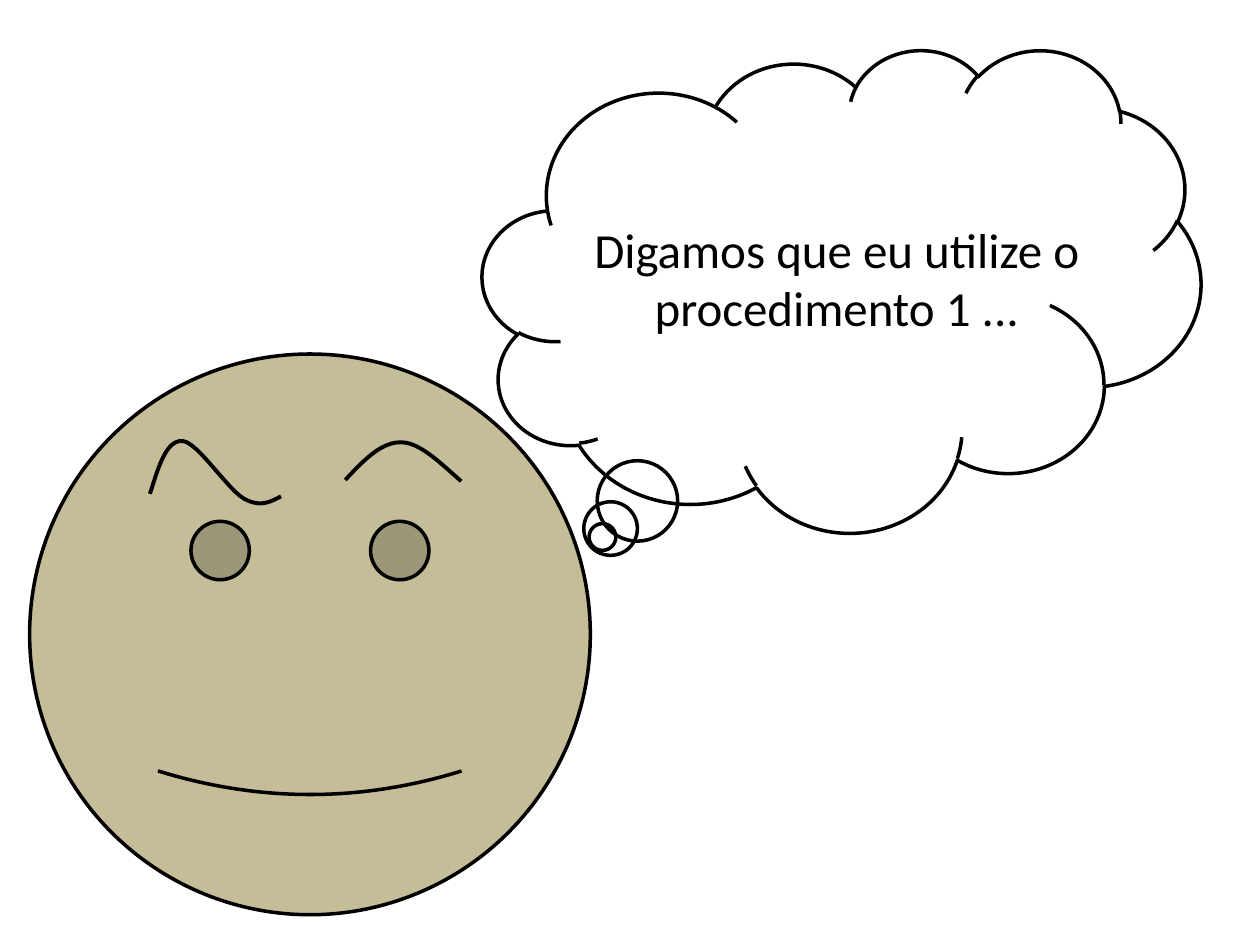
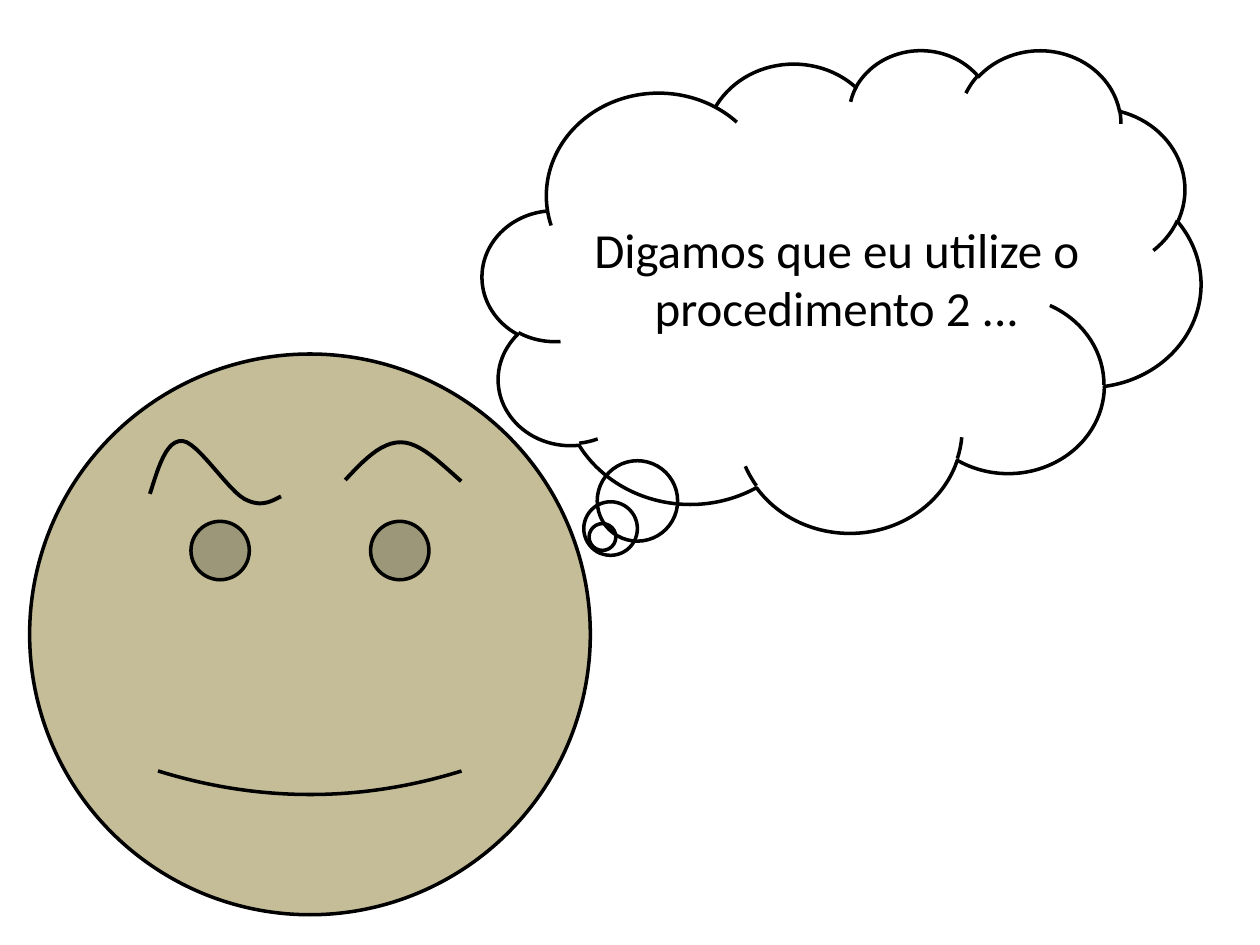
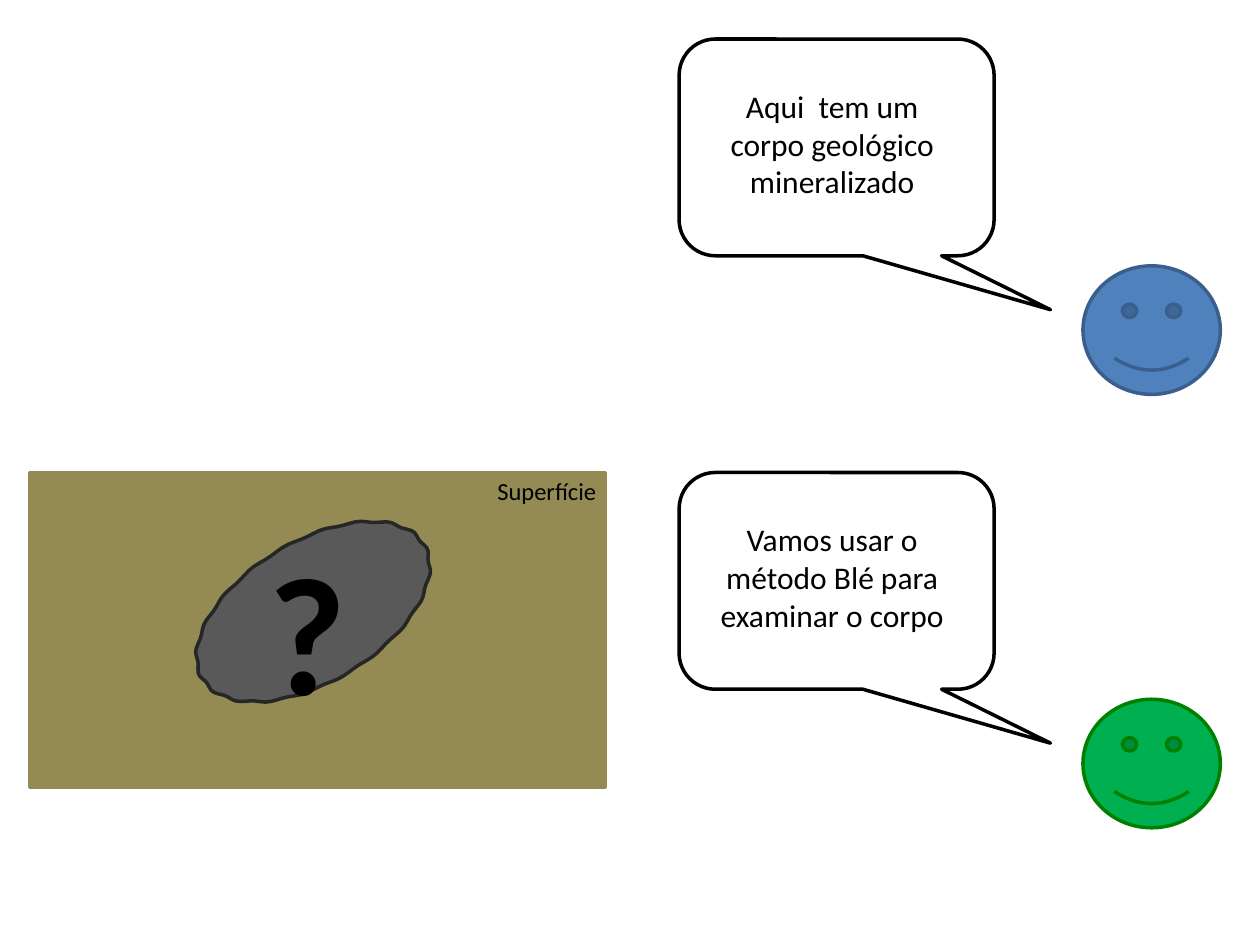
from dataclasses import dataclass
from math import cos, radians, sin
from typing import Optional

from pptx import Presentation
from pptx.dml.color import RGBColor
from pptx.enum.shapes import MSO_SHAPE as Kind
from pptx.enum.text import MSO_AUTO_SIZE as Auto, PP_ALIGN as Align
from pptx.util import Emu, Inches, Pt

WIDE, HIGH = Inches(10), Inches(7.5)
COL, ROW = WIDE / 100, HIGH / 75  # slide grid of 100 columns by 75 rows
FONT = "Calibri"

BLACK = RGBColor(0x00, 0x00, 0x00)
SAND = RGBColor(0xC4, 0xBD, 0x97)
SOIL = RGBColor(0x94, 0x8A, 0x54)
ROCK = RGBColor(0x59, 0x59, 0x59)
COAL = RGBColor(0x26, 0x26, 0x26)
BLUE = RGBColor(0x4F, 0x81, 0xBD)
NAVY = RGBColor(0x3A, 0x5F, 0x8C)
GREEN = RGBColor(0x00, 0xB0, 0x50)
MOSS = RGBColor(0x00, 0x80, 0x00)

Point = tuple[float, float]


@dataclass(frozen=True)
class Box:
    """A place on the grid, in columns and rows."""
    col: float
    row: float
    cols: float
    rows: float

    def place(self) -> tuple[Emu, Emu, Emu, Emu]:
        return (Emu(round(self.col * COL)), Emu(round(self.row * ROW)),
                Emu(round(self.cols * COL)), Emu(round(self.rows * ROW)))


@dataclass(frozen=True)
class Form:
    kind: Kind
    box: Box
    fill: Optional[RGBColor] = None
    line: RGBColor = BLACK
    bends: tuple[float, ...] = ()


@dataclass(frozen=True)
class Label:
    text: str
    box: Box
    size: int
    align: Optional[Align] = Align.CENTER
    bold: bool = False
    wrap: bool = True


@dataclass(frozen=True)
class Talk:
    """What one speaker says, and the colours of the face."""
    text: str
    fill: RGBColor
    line: RGBColor


@dataclass(frozen=True)
class Blob:
    """A leaning oval with a rippled edge; lean and step are in degrees."""
    box: Box
    lean: float
    waves: int
    depth: float
    step: int = 3

    def points(self) -> list[Point]:
        across, down = self.box.cols / 2, self.box.rows / 2
        mid_x, mid_y = self.box.col + across, self.box.row + down
        edge = []
        for turn in range(0, 360, self.step):
            angle = radians(turn)
            reach = 1 + self.depth * sin(self.waves * angle)
            edge.append((mid_x + across * reach * cos(angle),
                         mid_y + down * reach * sin(angle - radians(self.lean))))
        return edge


HEAD = Form(Kind.SMILEY_FACE, Box(2.35, 28.1, 44.5, 44.5), SAND, bends=(0.021,))
CLOUD = Form(Kind.CLOUD_CALLOUT, Box(38.3, 3.9, 57, 38.3), bends=(-0.333, 0.511))
GROUND = Form(Kind.RECTANGLE, Box(2.35, 37.5, 45.7, 25), SOIL, SOIL)
ORE = Blob(Box(15.6, 41.4, 18.5, 14.3), lean=30, waves=20, depth=0.01)

# A brow is a start point, then two handles and an end point per curve.
RAISED: list[Point] = [
    (11.9, 39.2),
    (12.6, 37), (13.2, 34.9), (14.5, 35),
    (15.7, 35.1), (18.1, 38.9), (19.4, 39.6),
    (20.7, 40.3), (21.5, 39.8), (22.3, 39.4),
]
ARCHED: list[Point] = [
    (27.4, 38.1),
    (28.8, 36.6), (30.2, 35.1), (31.8, 35.1),
    (33.3, 35.1), (34.9, 36.7), (36.6, 38.2),
]

TALKS = [
    Talk("Aqui  tem um corpo geológico mineralizado", BLUE, NAVY),
    Talk("Vamos usar o método Blé para examinar o corpo", GREEN, MOSS),
]
TALK_TOP, TALK_PITCH = 3.1, 34.4  # first balloon's row, rows between balloons


def paint(shape, fill: Optional[RGBColor], line: RGBColor, width: float = 2) -> None:
    shape.shadow.inherit = False
    if fill is None:
        shape.fill.background()
    else:
        shape.fill.solid()
        shape.fill.fore_color.rgb = fill
    shape.line.color.rgb = line
    shape.line.width = Pt(width)


def draw(slide, form: Form) -> None:
    shape = slide.shapes.add_shape(form.kind, *form.box.place())
    for i, bend in enumerate(form.bends):
        shape.adjustments[i] = bend
    paint(shape, form.fill, form.line)


def trace(slide, points: list[Point], close: bool):
    """Join grid points with a freeform outline."""
    first, *rest = [(round(x * COL), round(y * ROW)) for x, y in points]
    pen = slide.shapes.build_freeform(*first)
    pen.add_line_segments(rest, close=close)
    return pen.convert_to_shape()


def curve(knots: list[Point], steps: int = 12) -> list[Point]:
    """Sample a chain of cubic curves."""
    points = [knots[0]]
    for i in range(0, len(knots) - 1, 3):
        ends = knots[i:i + 4]
        for step in range(1, steps + 1):
            t = step / steps
            u = 1 - t
            parts = (u**3, 3 * u * u * t, 3 * u * t * t, t**3)
            points.append((sum(k * x for k, (x, _) in zip(parts, ends)),
                           sum(k * y for k, (_, y) in zip(parts, ends))))
    return points


def write(slide, label: Label) -> None:
    frame = slide.shapes.add_textbox(*label.box.place()).text_frame
    frame.word_wrap = label.wrap
    frame.auto_size = Auto.SHAPE_TO_FIT_TEXT
    frame.text = label.text
    para = frame.paragraphs[0]
    para.alignment = label.align
    font = para.runs[0].font
    font.name, font.size, font.bold = FONT, Pt(label.size), label.bold
    font.color.rgb = BLACK


def think(slide, text: str) -> None:
    """Draw the pondering face with a thought in its cloud."""
    draw(slide, HEAD)
    for brow in (RAISED, ARCHED):
        paint(trace(slide, curve(brow), close=False), None, BLACK, 2.25)
    draw(slide, CLOUD)
    write(slide, Label(text, Box(45.3, 16.9, 42.2, 10.4), 28))


def speak(slide, talk: Talk, top: float) -> None:
    """Draw a face and its balloon, whose upper edge is at row top."""
    face = Box(85.95, top + 18, 10.9, 10.2)
    balloon = Box(53.9, top, 25, 17.2)
    words = Box(55.5, top + 3.3, 21.1, 10.1)
    draw(slide, Form(Kind.SMILEY_FACE, face, talk.fill, talk.line))
    draw(slide, Form(Kind.ROUNDED_RECTANGULAR_CALLOUT, balloon,
                     bends=(0.679, 0.749, 0.167)))
    write(slide, Label(talk.text, words, 18))


def survey(slide) -> None:
    """Draw the buried body and the two people who discuss it."""
    draw(slide, GROUND)
    paint(trace(slide, ORE.points(), close=True), ROCK, COAL)
    write(slide, Label("Superfície", Box(38.3, 37.3, 10.2, 3.4), 14, wrap=False))
    for i, talk in enumerate(TALKS):
        speak(slide, talk, TALK_TOP + i * TALK_PITCH)
    write(slide, Label("?", Box(20.3, 41.4, 8.6, 17.2), 96,
                       align=None, bold=True, wrap=False))


def main() -> None:
    deck = Presentation()
    deck.slide_width, deck.slide_height = WIDE, HIGH
    blank = deck.slide_layouts[6]
    for number in (1, 2):
        think(deck.slides.add_slide(blank),
              f"Digamos que eu utilize o procedimento {number} ...")
    survey(deck.slides.add_slide(blank))
    deck.save("out.pptx")


if __name__ == "__main__":
    main()
